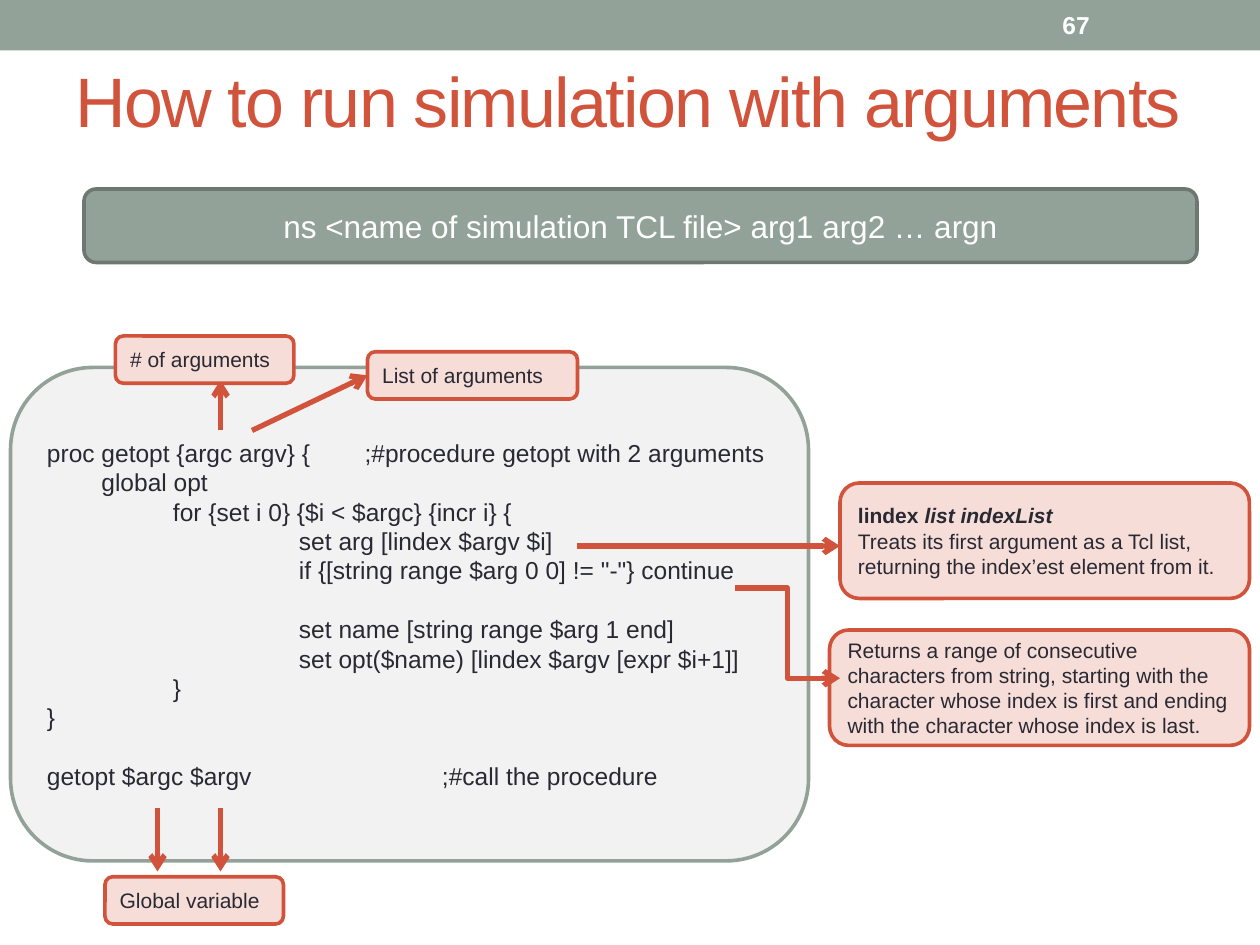
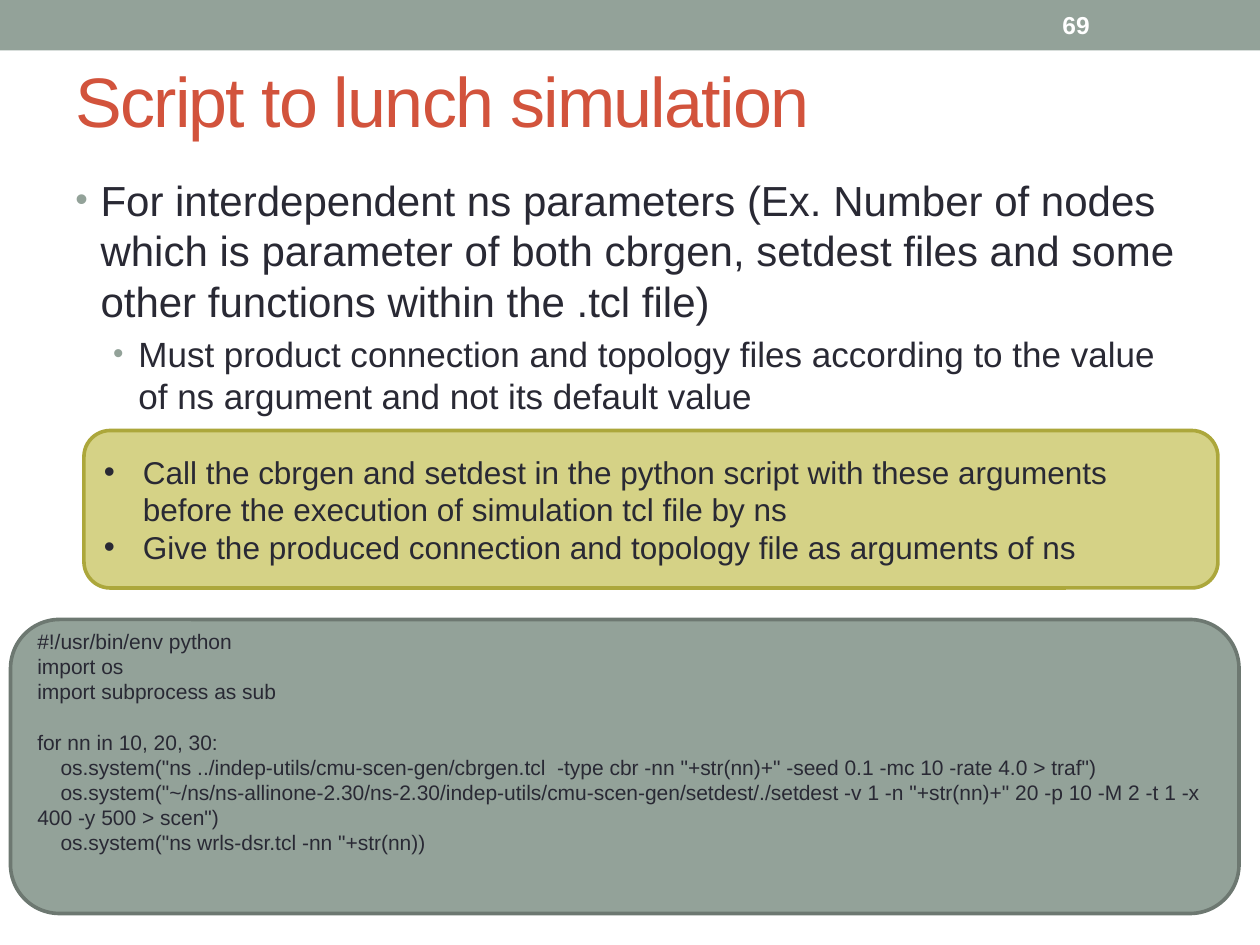
import collections

import pptx
import pptx.dml.color
import pptx.enum.shapes
import pptx.enum.text
import pptx.oxml.ns
import pptx.util
from lxml import etree

EMU_PER_PX = 7620  # 120 px to the inch
FONT = "Arial"
SAGE, SAGE_DARK = "93A299", "6D7871"
RED, PINK = "D2533C", "F6DDD8"
OLIVE, OLIVE_DARK = "D5D286", "ACA73B"
INK, WHITE, PALE = "292934", "FFFFFF", "F2F2F2"

ALIGN = pptx.enum.text.PP_ALIGN
ANCHOR = pptx.enum.text.MSO_ANCHOR
SHAPE = pptx.enum.shapes.MSO_SHAPE
CONNECTOR = pptx.enum.shapes.MSO_CONNECTOR

TCL_CODE = "\n".join((
    "proc getopt {argc argv} {        ;#procedure getopt with 2 arguments",
    "        global opt",
    "\tfor {set i 0} {$i < $argc} {incr i} {",
    "\t\tset arg [lindex $argv $i]",
    '\t\tif {[string range $arg 0 0] != "-"} continue',
    "",
    "\t\tset name [string range $arg 1 end]",
    "\t\tset opt($name) [lindex $argv [expr $i+1]]",
    "\t}",
    "}",
    "",
    "getopt $argc $argv                            ;#call the procedure",
))
PYTHON_CODE = "\n".join((
    "#!/usr/bin/env python",
    "import os",
    "import subprocess as sub",
    "",
    "for nn in 10, 20, 30:",
    '    os.system("ns ../indep-utils/cmu-scen-gen/cbrgen.tcl  -type cbr -nn "+str(nn)+" -seed 0.1 -mc 10 -rate 4.0 > traf")',
    '    os.system("~/ns/ns-allinone-2.30/ns-2.30/indep-utils/cmu-scen-gen/setdest/./setdest -v 1 -n "+str(nn)+" 20 -p 10 -M 2 -t 1 -x 400 -y 500 > scen")',
    '    os.system("ns wrls-dsr.tcl -nn "+str(nn))',
))


class Box(collections.namedtuple("Box", "left top width height")):
    def inner(self, left, top, width, height):
        """Box placed relative to this one."""
        return Box(self.left + left, self.top + top, width, height)

    def point(self, x, y):
        return self.left + x, self.top + y

    def emu(self):
        return [px(value) for value in self]


def px(value):
    return pptx.util.Emu(value * EMU_PER_PX)


def color(hex_string):
    return pptx.dml.color.RGBColor.from_string(hex_string)


def add_element(parent, tag, **attributes):
    return etree.SubElement(parent, pptx.oxml.ns.qn(tag), attributes)


def format_run(run, size, ink=INK, bold=False, italic=False):
    run.font.name = FONT
    run.font.size = pptx.util.Pt(size)
    run.font.color.rgb = color(ink)
    run.font.bold = bold
    run.font.italic = italic


def write_text(shape, text, size, ink=INK, bold=False,
               align=ALIGN.LEFT, anchor=ANCHOR.MIDDLE):
    frame = shape.text_frame
    frame.word_wrap = True
    frame.vertical_anchor = anchor
    frame.text = text
    for paragraph in frame.paragraphs:
        paragraph.alignment = align
        for run in paragraph.runs:
            format_run(run, size, ink, bold)
        if not paragraph.runs:
            add_element(paragraph._p, "a:endParaRPr", sz=str(size * 100))
    return frame


def add_text(slide, box, text, size, **style):
    return write_text(slide.shapes.add_textbox(*box.emu()), text, size, **style)


def add_panel(slide, box, fill, line=None, kind=SHAPE.ROUNDED_RECTANGLE):
    shape = slide.shapes.add_shape(kind, *box.emu())
    shape.shadow.inherit = False
    shape.fill.solid()
    shape.fill.fore_color.rgb = color(fill)
    if line:
        shape.line.color.rgb = color(line)
        shape.line.width = pptx.util.Pt(2.08)
    else:
        shape.line.fill.background()
    return shape


def add_callout(slide, box, text):
    shape = add_panel(slide, box, PINK, RED)
    write_text(shape, text, 12)
    return shape


def add_arrow(slide, start, end, kind=CONNECTOR.STRAIGHT):
    ends = [px(value) for value in (*start, *end)]
    arrow = slide.shapes.add_connector(kind, *ends)
    arrow.line.color.rgb = color(RED)
    arrow.line.width = pptx.util.Pt(3)
    add_element(arrow.line._get_or_add_ln(), "a:tailEnd", type="arrow")
    add_element(arrow._element.spPr, "a:effectLst")
    return arrow


def set_bullet(paragraph, left, hanging, bullet_color=None):
    properties = paragraph._p.get_or_add_pPr()
    properties.set("marL", str(px(left)))
    properties.set("indent", str(-px(hanging)))
    if bullet_color:
        holder = add_element(properties, "a:buClr")
        add_element(holder, "a:srgbClr", val=bullet_color)
        add_element(properties, "a:buSzPct", val="85000")
    add_element(properties, "a:buFont", typeface=FONT)
    add_element(properties, "a:buChar", char="•")


def set_tabs(paragraph, positions):
    tabs = add_element(paragraph._p.get_or_add_pPr(), "a:tabLst")
    for position in positions:
        add_element(tabs, "a:tab", pos=str(px(position)), algn="l")


def add_slide(presentation, title, number):
    """Blank slide with the shared band, title and page number."""
    slide = presentation.slides.add_slide(presentation.slide_layouts[6])
    band = Box(0, 0, 1200, 48)
    add_panel(slide, band, SAGE, kind=SHAPE.RECTANGLE)
    heading = add_text(slide, band.inner(60, 30, 1080, 130), title, 40, ink=RED)
    heading.paragraphs[0].runs[0].font._element.set("spc", "-100")
    add_text(slide, band.inner(1000, 2, 140, 43), str(number), 14,
             ink=WHITE, bold=True)
    return slide


def add_command(slide, box, command):
    write_text(add_panel(slide, box, SAGE, SAGE_DARK), command, 18,
               ink=WHITE, align=ALIGN.CENTER)


def add_tcl_listing(slide, box):
    """Procedure listing with labels for its arguments and global variables."""
    frame = write_text(add_panel(slide, box, PALE, SAGE), TCL_CODE, 14)
    for paragraph in frame.paragraphs:
        set_tabs(paragraph, (120, 240))

    add_arrow(slide, box.point(200, 60), box.point(200, 12))
    add_callout(slide, box.inner(100, -30, 170, 45), "# of arguments")
    list_label = add_callout(slide, box.inner(340, -15, 200, 45),
                             "List of arguments")
    list_arrow = add_arrow(slide, box.point(230, 60), box.point(340, 8))
    list_arrow.end_connect(list_label, 1)

    add_callout(slide, box.inner(90, 485, 170, 45), "Global variable")
    for x in (140, 200):
        add_arrow(slide, box.point(x, 420), box.point(x, 480))


def add_command_notes(slide, box):
    """Notes on lindex and string range, with arrows from the listing."""
    lindex = add_callout(
        slide, box.inner(10, 0, 390, 110),
        "lindex \nTreats its first argument as a Tcl list, "
        "returning the index’est element from it.")
    signature = lindex.text_frame.paragraphs[0]
    signature.runs[0].font.bold = True
    arguments = signature.add_run()
    arguments.text = "list indexList"
    format_run(arguments, 12, bold=True, italic=True)

    add_callout(
        slide, box.inner(0, 140, 400, 110),
        "Returns a range of consecutive characters from string, starting with "
        "the character whose index is first and ending with the character "
        "whose index is last.")
    add_arrow(slide, box.point(-90, 100), box.point(10, 186), CONNECTOR.ELBOW)
    add_arrow(slide, box.point(-240, 60), box.point(10, 60))


def add_outline(slide, box, items):
    """Bulleted body text from (text, size) pairs, one level deeper each."""
    frame = add_text(slide, box, "\n".join(text for text, size in items), 24,
                     anchor=ANCHOR.TOP)
    for level, (paragraph, (text, size)) in enumerate(
            zip(frame.paragraphs, items)):
        paragraph.level = level
        set_bullet(paragraph, 24 + 36 * level, 24, SAGE)
        paragraph.runs[0].font.size = pptx.util.Pt(size)
        if level:
            paragraph.space_before = pptx.util.Pt(size * 0.2)


def add_advice(slide, box, lines):
    frame = write_text(add_panel(slide, box, OLIVE, OLIVE_DARK),
                       "\n".join(lines), 18)
    for paragraph in frame.paragraphs:
        set_bullet(paragraph, 37, 37)


def add_python_listing(slide, box):
    frame = write_text(add_panel(slide, box, SAGE, SAGE_DARK), PYTHON_CODE, 12)
    frame.margin_bottom = px(53)


def main():
    presentation = pptx.Presentation()
    presentation.slide_width, presentation.slide_height = px(1200), px(900)

    slide = add_slide(presentation, "How to run simulation with arguments", 67)
    add_command(slide, Box(80, 180, 1060, 70),
                "ns <name of simulation TCL file> arg1 arg2 … argn")
    add_tcl_listing(slide, Box(10, 350, 760, 470))
    add_command_notes(slide, Box(790, 460, 400, 250))

    slide = add_slide(presentation, "Script to lunch simulation", 69)
    add_outline(slide, Box(60, 160, 1080, 640), (
        ("For interdependent ns parameters (Ex. Number of nodes which is "
         "parameter of both cbrgen, setdest files and some other functions "
         "within the .tcl file)", 24),
        ("Must product connection and topology files according to the value "
         "of ns argument and not its default value", 20),
    ))
    add_advice(slide, Box(80, 410, 1080, 150), (
        "Call the cbrgen and setdest in the python script with these "
        "arguments before the execution of simulation tcl file by ns",
        "Give the produced connection and topology file as arguments of ns",
    ))
    add_python_listing(slide, Box(10, 590, 1170, 280))

    presentation.save("out.pptx")


if __name__ == "__main__":
    main()
